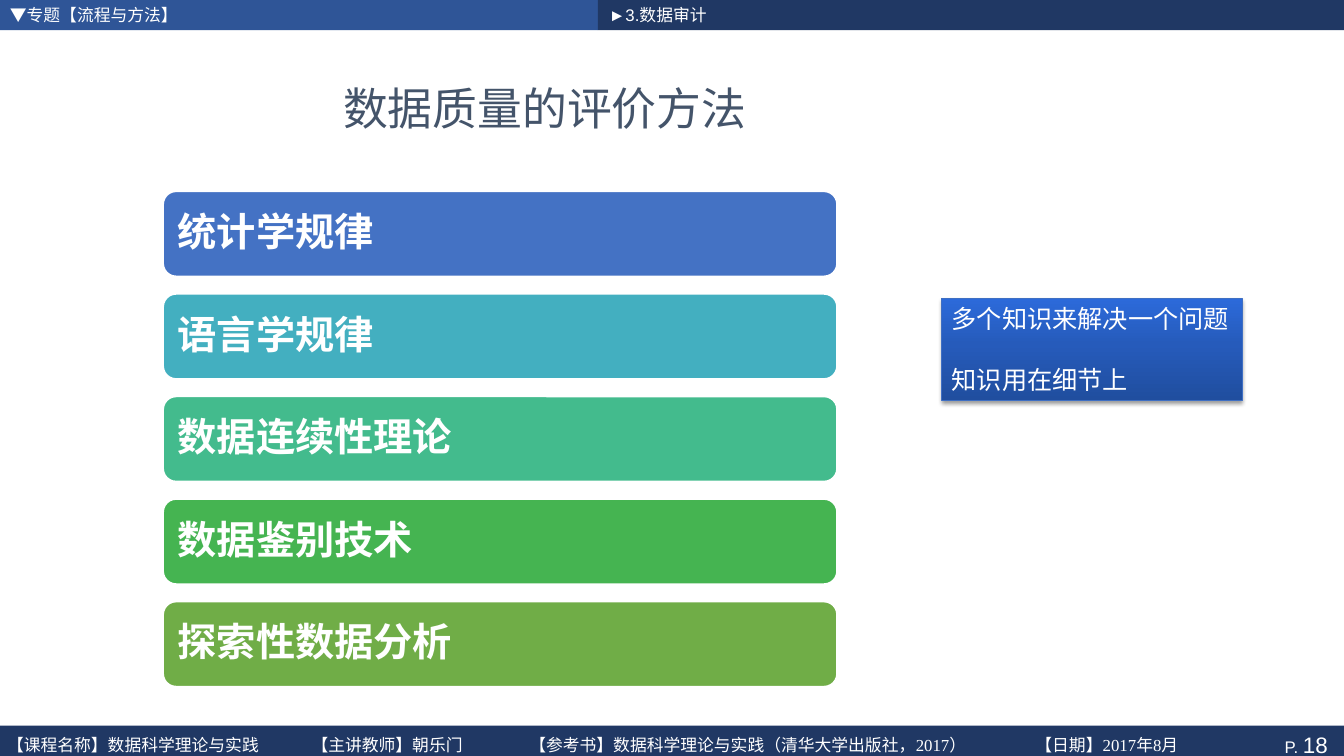
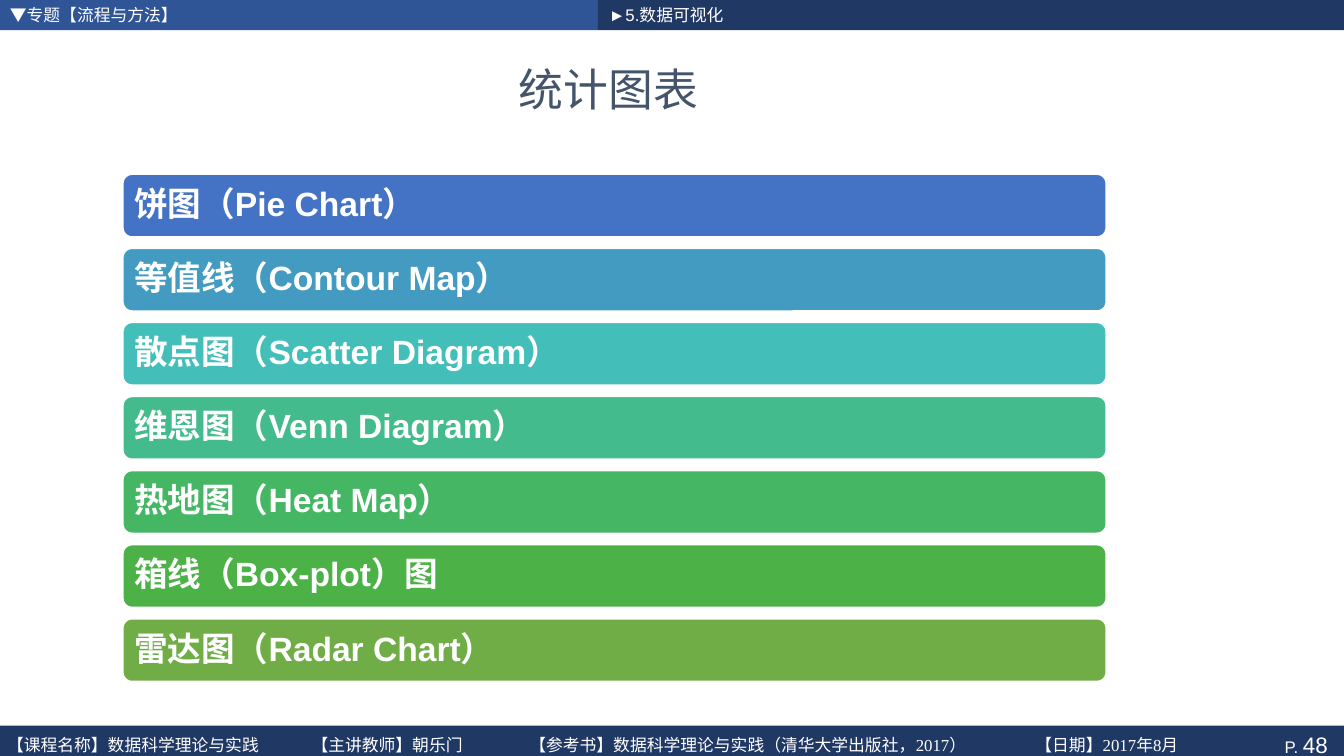
import copy
from dataclasses import dataclass
from typing import Optional

import pptx
import pptx.dml.color
import pptx.enum.dml
import pptx.enum.shapes
import pptx.enum.text
import pptx.oxml
import pptx.oxml.ns
import pptx.shapes.autoshape
import pptx.slide
import pptx.text.text
import pptx.util

Inches = pptx.util.Inches
Pt = pptx.util.Pt
RECTANGLE = pptx.enum.shapes.MSO_SHAPE.RECTANGLE
ROUNDED = pptx.enum.shapes.MSO_SHAPE.ROUNDED_RECTANGLE
MIDDLE = pptx.enum.text.MSO_ANCHOR.MIDDLE
TOP = pptx.enum.text.MSO_ANCHOR.TOP
LEFT = pptx.enum.text.PP_ALIGN.LEFT
CENTER = pptx.enum.text.PP_ALIGN.CENTER
RIGHT = pptx.enum.text.PP_ALIGN.RIGHT


@dataclass(frozen=True)
class Theme:
    white: str = "FFFFFF"
    navy: str = "203864"
    blue: str = "2F5597"
    title: str = "44546A"
    note_line: str = "3F6FC3"
    note_stops: tuple[tuple[float, str], ...] = (
        (0, "204E9F"), (0.55, "265BBB"), (1, "2C6ADA"))
    latin: str = "Arial"
    serif: str = "Times New Roman"
    chinese: str = "Noto Sans CJK SC"
    small_size: int = 12
    page_size: int = 16
    note_size: int = 18
    title_size: int = 32
    bar_line: float = 3.78


THEME = Theme()


@dataclass(frozen=True)
class Box:
    left: float
    top: float
    width: float
    height: float

    def lengths(self) -> tuple[pptx.util.Length, ...]:
        return tuple(Inches(value) for value in
                     (self.left, self.top, self.width, self.height))


@dataclass(frozen=True)
class Bar:
    text: str
    color: str


@dataclass(frozen=True)
class BarList:
    first: Box
    last_top: float
    inset: float
    size: int
    bars: tuple[Bar, ...]


@dataclass(frozen=True)
class Page:
    number: int
    section: str
    title: str
    title_box: Box
    bar_list: BarList
    note: tuple[str, ...] = ()


TOPIC = "▼专题【流程与方法】"
FOOTER = ("【课程名称】数据科学理论与实践", "【主讲教师】朝乐门",
          "【参考书】数据科学理论与实践（清华大学出版社，2017）", "【日期】2017年8月")
FOOTER_TABS = (3.02, 5.18, 10.2)
NOTE_BOX = Box(9.34, 2.96, 2.98, 1.01)

PAGES = (
    Page(18, "►3.数据审计", "数据质量的评价方法", Box(1.46, 0.62, 7.89, 0.9),
         BarList(Box(1.6, 1.88, 6.72, 0.88), 5.95, 0.12, 28, (
             Bar("统计学规律", "4472C4"),
             Bar("语言学规律", "43AFC0"),
             Bar("数据连续性理论", "43BB8D"),
             Bar("数据鉴别技术", "45B451"),
             Bar("探索性数据分析", "70AD47"))),
         ("多个知识来解决一个问题", "知识用在细节上")),
    Page(48, "►5.数据可视化", "统计图表", Box(0.44, 0.43, 11.19, 0.9),
         BarList(Box(1.2, 1.71, 9.79, 0.66), 6.12, 0.1, 24, (
             Bar("饼图（Pie Chart）", "4472C4"),
             Bar("等值线（Contour Map）", "449BC1"),
             Bar("散点图（Scatter Diagram）", "43BEB9"),
             Bar("维恩图（Venn Diagram）", "43BB8D"),
             Bar("热地图（Heat Map）", "45B664"),
             Bar("箱线（Box-plot）图", "4CB146"),
             Bar("雷达图（Radar Chart）", "70AD47")))),
)


def rgb(color: str) -> pptx.dml.color.RGBColor:
    return pptx.dml.color.RGBColor.from_string(color)


# Text helpers
def add_run(paragraph: pptx.text.text._Paragraph, text: str, size: float,
            color: str = THEME.white, font: str = THEME.latin, bold: bool = False) -> None:
    run = paragraph.add_run()
    run.text = text
    run.font.size = Pt(size)
    run.font.name = font
    run.font.bold = bold
    run.font.color.rgb = rgb(color)
    east_asian = pptx.oxml.ns.qn("a:ea")
    run.font._element.find(pptx.oxml.ns.qn("a:latin")).addnext(
        run.font._element.makeelement(east_asian, {"typeface": THEME.chinese}))


def set_frame(shape: pptx.shapes.autoshape.Shape, anchor: pptx.enum.text.MSO_ANCHOR = MIDDLE,
              left: float = 0.1, right: float = 0.1, top: float = 0, bottom: float = 0,
              wrap: bool = True, align: pptx.enum.text.PP_ALIGN = LEFT
              ) -> pptx.text.text._Paragraph:
    frame = shape.text_frame
    frame.word_wrap = wrap
    frame.vertical_anchor = anchor
    frame.margin_left, frame.margin_right = Inches(left), Inches(right)
    frame.margin_top, frame.margin_bottom = Inches(top), Inches(bottom)
    paragraph = frame.paragraphs[0]
    paragraph.alignment = align
    return paragraph


def add_label(slide: pptx.slide.Slide, box: Box, text: str, size: float,
              color: str = THEME.white, font: str = THEME.latin,
              align: pptx.enum.text.PP_ALIGN = LEFT) -> None:
    paragraph = set_frame(slide.shapes.add_textbox(*box.lengths()), align=align)
    add_run(paragraph, text, size, color, font)


# Shape helper
def add_block(slide: pptx.slide.Slide, box: Box, color: str,
              kind: pptx.enum.shapes.MSO_SHAPE = RECTANGLE,
              line: Optional[str] = None, line_width: float = 0
              ) -> pptx.shapes.autoshape.Shape:
    shape = slide.shapes.add_shape(kind, *box.lengths())
    shape.shadow.inherit = False
    shape.fill.solid()
    shape.fill.fore_color.rgb = rgb(color)
    if line is None:
        shape.line.fill.background()
    else:
        shape.line.color.rgb = rgb(line)
        shape.line.width = Pt(line_width)
    return shape


# Header and footer bands
def draw_bands(slide: pptx.slide.Slide, page: Page) -> None:
    add_block(slide, Box(0, 0, 5.93, 0.3), THEME.blue)
    add_block(slide, Box(5.93, 0, 7.4, 0.3), THEME.navy)
    add_label(slide, Box(0, 0, 4.83, 0.29), TOPIC, THEME.small_size)
    add_label(slide, Box(5.94, 0, 2.38, 0.29), page.section, THEME.small_size)

    band = add_block(slide, Box(0, 7.2, 13.33, 0.3), THEME.navy)
    paragraph = set_frame(band, TOP, right=0.16, top=0.05, align=RIGHT)
    add_run(paragraph, "P. ", THEME.small_size)
    add_run(paragraph, str(page.number), THEME.page_size)

    footer = slide.shapes.add_textbox(*Box(0, 7.25, 12.76, 0.25).lengths())
    paragraph = set_frame(footer, TOP, left=0.07, top=0.04)
    tab_list = pptx.oxml.parse_xml(f"<a:tabLst {pptx.oxml.ns.nsdecls('a')}/>")
    for position in FOOTER_TABS:
        tab_list.append(tab_list.makeelement(
            pptx.oxml.ns.qn("a:tab"), {"pos": str(Inches(position)), "algn": "l"}))
    paragraph._element.get_or_add_pPr().append(tab_list)
    for index, field in enumerate(FOOTER):
        add_run(paragraph, "\t" + field if index else field,
                THEME.small_size, font=THEME.serif)


# Stack of coloured bars
def draw_bars(slide: pptx.slide.Slide, bar_list: BarList) -> None:
    first = bar_list.first
    step = (bar_list.last_top - first.top) / (len(bar_list.bars) - 1)
    for index, bar in enumerate(bar_list.bars):
        box = Box(first.left, first.top + index * step, first.width, first.height)
        shape = add_block(slide, box, bar.color, ROUNDED, THEME.white, THEME.bar_line)
        inset = bar_list.inset
        paragraph = set_frame(shape, left=inset, right=inset, top=inset, bottom=inset)
        paragraph.line_spacing = 0.9
        add_run(paragraph, bar.text, bar_list.size, bold=True)


# Gradient note with a soft shadow
def draw_note(slide: pptx.slide.Slide, lines: tuple[str, ...]) -> None:
    shape = add_block(slide, NOTE_BOX, THEME.blue, line=THEME.note_line, line_width=0.5)
    shape.fill.gradient()
    shape.fill.gradient_angle = 90
    properties = shape._element.spPr
    stop_list = properties.find(".//" + pptx.oxml.ns.qn("a:gsLst"))
    stop_list.insert(1, copy.deepcopy(stop_list[0]))
    for stop, (position, color) in zip(shape.fill.gradient_stops, THEME.note_stops):
        stop.position = position
        stop.color.rgb = rgb(color)
    properties.find(pptx.oxml.ns.qn("a:effectLst")).append(pptx.oxml.parse_xml(
        f'<a:outerShdw {pptx.oxml.ns.nsdecls("a")} blurRad="{Pt(3.1)}" dist="{Pt(2)}" '
        'dir="5400000" rotWithShape="0"><a:srgbClr val="000000">'
        '<a:alpha val="38000"/></a:srgbClr></a:outerShdw>'))

    paragraph = set_frame(shape, wrap=False)
    for index, line in enumerate(lines):
        if index:
            paragraph = shape.text_frame.add_paragraph()
            paragraph.alignment = LEFT
            paragraph.space_before = Pt(22)
        add_run(paragraph, line, THEME.note_size)


def draw_page(presentation: pptx.presentation.Presentation, page: Page) -> None:
    slide = presentation.slides.add_slide(presentation.slide_layouts[6])
    draw_bands(slide, page)
    add_label(slide, page.title_box, page.title, THEME.title_size,
              THEME.title, THEME.chinese, CENTER)
    draw_bars(slide, page.bar_list)
    if page.note:
        draw_note(slide, page.note)


def main() -> None:
    presentation = pptx.Presentation()
    presentation.slide_width = Inches(13.33)
    presentation.slide_height = Inches(7.5)
    for page in PAGES:
        draw_page(presentation, page)
    presentation.save("out.pptx")


if __name__ == "__main__":
    main()
